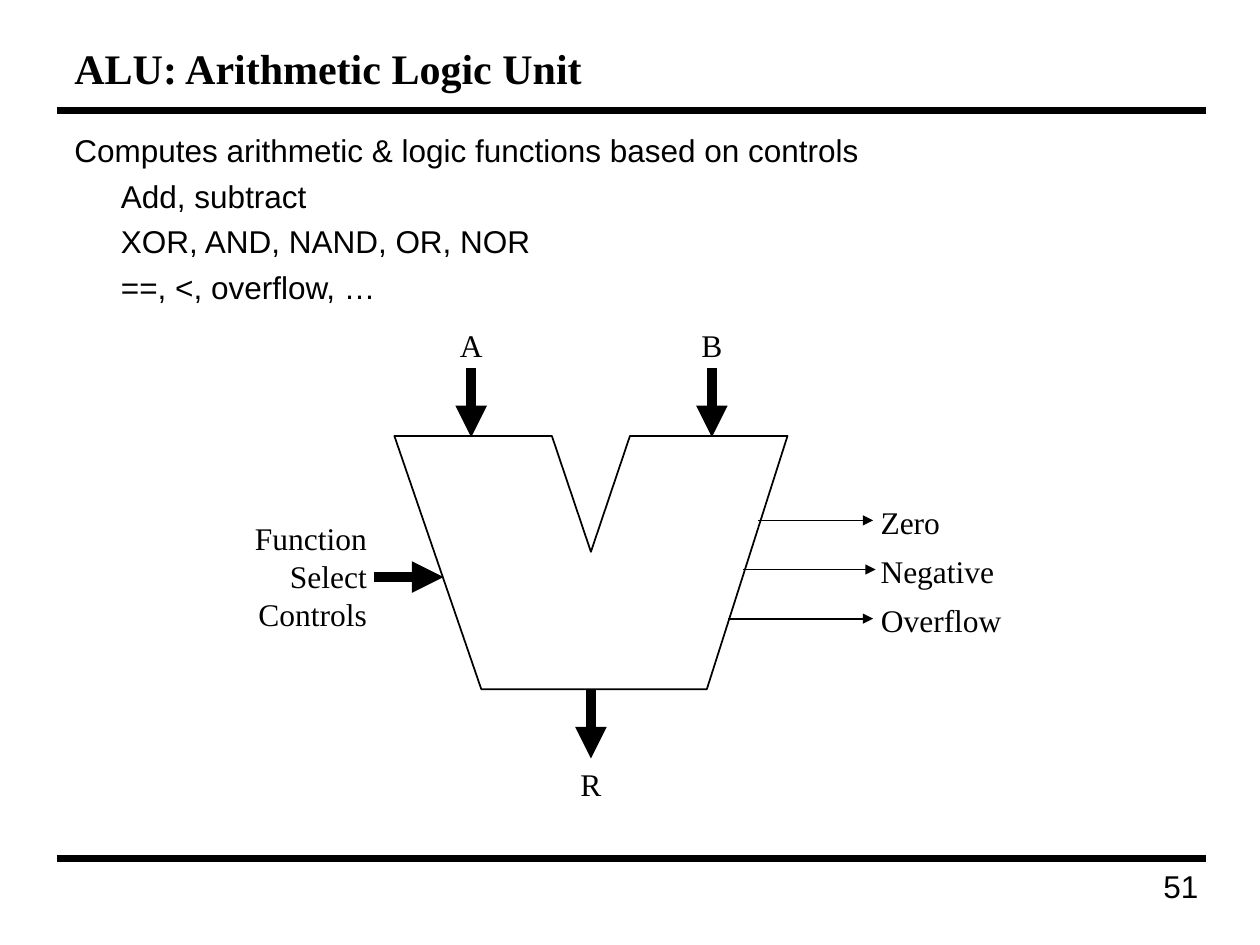
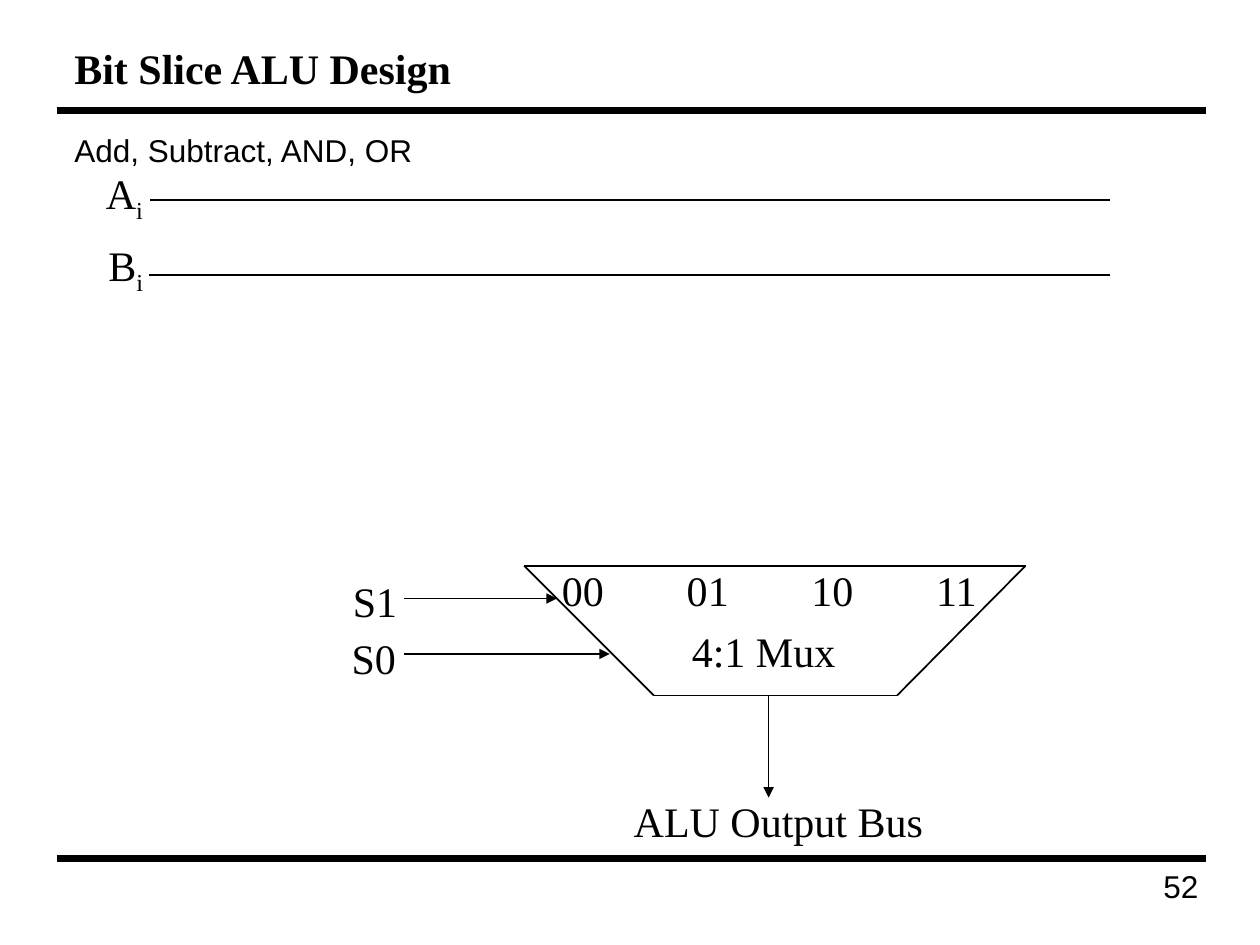
from itertools import pairwise

from lxml import etree
from pptx import Presentation
from pptx import util as u
from pptx.dml.color import RGBColor
from pptx.enum import shapes, text
from pptx.oxml import ns

BLACK = RGBColor(0, 0, 0)
SERIF, SANS = "Times New Roman", "Arial"
LEFT, CENTER, RIGHT = text.PP_ALIGN.LEFT, text.PP_ALIGN.CENTER, text.PP_ALIGN.RIGHT
FIRST_NUMBER = 51
INDENT = u.Inches(0.37)


def add_line(page, start, end, width=1, arrow=False):
    """Draw a black line, with an optional arrowhead at its end."""
    line = page.shapes.add_connector(
        shapes.MSO_CONNECTOR.STRAIGHT, *map(u.Inches, start + end))
    line.line.color.rgb = BLACK
    line.line.width = u.Pt(width)
    if arrow:
        etree.SubElement(line.line._get_or_add_ln(), ns.qn("a:tailEnd"), type="triangle")
    etree.SubElement(line.element.spPr, ns.qn("a:effectLst"))
    return line


def add_label(page, words, left, top, width, size, align=CENTER):
    """Write an unwrapped serif label; 24 pt labels have tight insets and fixed leading."""
    lines = words.split("\n")
    large = size == 24
    height = 0.52 if large else 0.4 + 0.3 * (len(lines) - 1)
    box = page.shapes.add_textbox(*map(u.Inches, (left, top, width, height)))
    frame = box.text_frame
    frame.word_wrap = False
    if large:
        frame.margin_left = frame.margin_right = u.Inches(0.02)
        frame.margin_top = frame.margin_bottom = u.Inches(0.03)
    else:
        frame.auto_size = text.MSO_AUTO_SIZE.SHAPE_TO_FIT_TEXT
    frame.text = words
    for para in frame.paragraphs:
        para.alignment = align
        if large:
            para.line_spacing = u.Pt(27.6)
        para.font.name, para.font.size = SERIF, u.Pt(size)
        para.font.color.rgb = BLACK
    return frame.paragraphs[0]


deck = Presentation()
deck.slide_width, deck.slide_height = u.Inches(10), u.Inches(7.5)
layout = deck.slide_layouts[1]

# Titles and lists; each list item has a level
contents = [
    ("ALU: Arithmetic Logic Unit",
     [("Computes arithmetic & logic functions based on controls", 0),
      ("Add, subtract", 1),
      ("XOR, AND, NAND, OR, NOR", 1),
      ("==, <, overflow, …", 1)]),
    ("Bit Slice ALU Design", [("Add, Subtract, AND, OR", 0)]),
]
pages = []
for number, (heading, items) in enumerate(contents, FIRST_NUMBER):
    page = deck.slides.add_slide(layout)
    pages.append(page)

    # Title
    title = page.shapes.title
    title.left, title.top, title.width, title.height = map(u.Inches, (0.49, 0.25, 9.04, 0.58))
    title.text_frame.text = heading
    title.text_frame.vertical_anchor = text.MSO_ANCHOR.MIDDLE
    title.text_frame.auto_size = text.MSO_AUTO_SIZE.NONE
    para = title.text_frame.paragraphs[0]
    para.alignment = LEFT
    para.font.name, para.font.size, para.font.bold = SERIF, u.Pt(24), True
    para.font.color.rgb = BLACK

    # List
    body = page.placeholders[1]
    body.left, body.top, body.width, body.height = map(u.Inches, (0.49, 0.99, 9.04, 5.76))
    frame = body.text_frame
    frame.auto_size = text.MSO_AUTO_SIZE.NONE
    frame.text = "\n".join(words for words, level in items)
    for index, (para, (words, level)) in enumerate(zip(frame.paragraphs, items)):
        props = para._p.get_or_add_pPr()
        props.set("marL", str(INDENT))
        props.set("indent", str(0 if level else -INDENT))
        para.space_before = u.Pt(4.4 if index else 0)
        etree.SubElement(props, ns.qn("a:buNone"))
        para.font.name, para.font.size = SANS, u.Pt(18)
        para.font.color.rgb = BLACK

    # Page number
    box = page.shapes.add_textbox(*map(u.Inches, (7.56, 6.83, 2.05, 0.49)))
    box.text_frame.word_wrap = True
    box.text_frame.text = str(number)
    para = box.text_frame.paragraphs[0]
    para.alignment = RIGHT
    para.font.name, para.font.size = SANS, u.Pt(18)
    para.font.color.rgb = BLACK

alu, slice_page = pages

# Thick rules, moved to the shared layout
for y in (0.88, 6.81):
    rule = add_line(alu, (0.45, y), (9.57, y), 4)
    layout.shapes.element.append(rule.element)

# ALU outline
outline = [(3.13, 3.46), (4.38, 3.46), (4.69, 4.38), (5, 3.46),
           (6.25, 3.46), (5.61, 5.47), (3.82, 5.47)]
corners = [(u.Inches(x), u.Inches(y)) for x, y in outline]
builder = alu.shapes.build_freeform(*corners[0])
builder.add_line_segments(corners[1:], close=True)
body = builder.convert_to_shape()
body.shadow.inherit = False
body.fill.background()
body.line.color.rgb = BLACK
body.line.width = u.Pt(1)

# Operands, result and function select
for name, x, arrow_top, label_top in (
        ("A", 3.74, 2.92, 2.54), ("B", 5.65, 2.92, 2.54), ("R", 4.69, 5.47, 6.02)):
    add_line(alu, (x, arrow_top), (x, arrow_top + 0.55), 6, arrow=True)
    add_label(alu, name, x - 0.19, label_top, 0.38, 18)
add_line(alu, (2.97, 4.58), (3.52, 4.58), 6, arrow=True)
add_label(alu, "Function\nSelect\nControls", 1.92, 4.07, 1.09, 18, RIGHT)

# Status flags
for row, (flag, start, end, width) in enumerate((
        ("Zero", 6.02, 6.93, 0.67),
        ("Negative", 5.9, 6.95, 1.1),
        ("Overflow", 5.78, 6.93, 1.16))):
    y = 4.13 + 0.39 * row
    add_line(alu, (start, y), (end, y), arrow=True)
    add_label(alu, flag, 6.89, y - 0.19, width, 18)

# Mux outline and labels
mux = [(4.16, 4.49), (8.14, 4.49), (7.12, 5.52), (5.19, 5.52)]
for start, end in pairwise(mux + mux[:1]):
    add_line(slice_page, start, end)
add_label(slice_page, "4:1 Mux", 5.47, 4.95, 1.59, 24, LEFT)
para = add_label(slice_page, "", 4.44, 4.47, 3.75, 24, LEFT)
para.add_run().text = "00\t01\t10\t11"
tabs = etree.Element(ns.qn("a:tabLst"))
for stop in range(1, 4):
    etree.SubElement(tabs, ns.qn("a:tab"), pos=str(u.Inches(0.99 * stop)), algn="l")
para._p.pPr.find(ns.qn("a:defRPr")).addprevious(tabs)

# Select inputs
for name, left, top, y, tip in (("S1", 2.78, 4.55, 4.75, 4.42), ("S0", 2.77, 5.01, 5.19, 4.84)):
    add_label(slice_page, name, left, top, 0.81, 24, LEFT)
    add_line(slice_page, (3.21, y), (tip, y), arrow=True)

# Operand bit lines
for name, left, top, start, y in (("A", 0.82, 1.37, 1.19, 1.59), ("B", 0.84, 1.94, 1.18, 2.18)):
    para = add_label(slice_page, name, left, top, 0.74, 24, LEFT)
    span = para.add_run()
    span.text = "i"
    span._r.get_or_add_rPr().set("baseline", "-25000")
    add_line(slice_page, (start, y), (8.81, y))

# Output bus
add_line(slice_page, (6.1, 5.52), (6.1, 6.33), arrow=True)
add_label(slice_page, "ALU Output Bus", 5.01, 6.3, 2.73, 24, LEFT)

deck.save("out.pptx")
